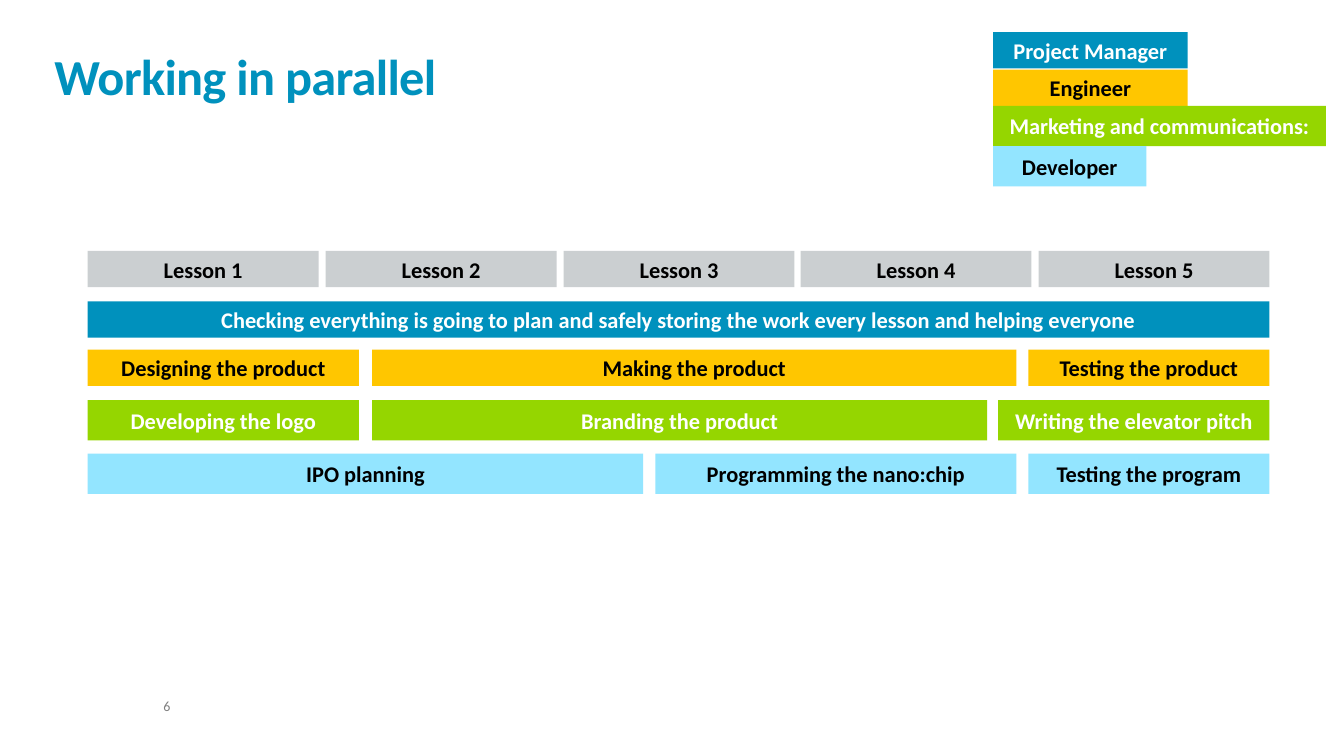
import pptx
import pptx.dml.color
import pptx.enum.shapes
import pptx.enum.text
import pptx.util

PX = 9144
BLUE, AMBER, GREEN, SKY, GREY = "0091BD", "FFC600", "95D600", "93E5FF", "CBCFD1"
WHITE, BLACK = "FFFFFF", "000000"
LEFT, RIGHT = 87, 1259
LESSONS, LESSON_WIDTH = 5, 229

ROLES = [
    ("Project Manager", BLUE, WHITE, 32, 193, 36),
    ("Engineer", AMBER, BLACK, 69, 193, 36),
    ("Marketing and communications:", GREEN, WHITE, 105, 330, 40),
    ("Developer", SKY, BLACK, 145, 152, 40),
]

SCHEDULE = [
    (299, [(LEFT, RIGHT, "Checking everything is going to plan and safely storing "
                         "the work every lesson and helping everyone")]),
    (347, [(LEFT, 356, "Designing the product"),
           (369, 1008, "Making the product"),
           (1020, RIGHT, "Testing the product")]),
    (397, [(LEFT, 356, "Developing the logo"),
           (369, 979, "Branding the product"),
           (990, RIGHT, "Writing the elevator pitch")]),
    (450, [(LEFT, 638, "IPO planning"),
           (650, 1008, "Programming the nano:chip"),
           (1020, RIGHT, "Testing the program")]),
]


def colour(value):
    return pptx.dml.color.RGBColor.from_string(value)


class Slide:
    """Hold the type style and the current page, and draw its elements."""

    def __init__(self, page, typeface="Calibri"):
        self.page = page
        self.typeface = typeface

    def add_span(self, para, text, size, ink, bold):
        span = para.add_run()
        span.text = text
        span.font.name = self.typeface
        span.font.size = pptx.util.Pt(size)
        span.font.bold = bold
        span.font.color.rgb = colour(ink)
        return span

    def add_text(self, left, top, width, height, text, size, ink, bold=False,
                 anchor="TOP", leading=0.9, tracking=0):
        box = self.page.shapes.add_textbox(left * PX, top * PX, width * PX, height * PX)
        frame = box.text_frame
        frame.word_wrap = True
        frame.margin_left = frame.margin_right = 0
        frame.margin_top = frame.margin_bottom = 0
        frame.vertical_anchor = pptx.enum.text.MSO_ANCHOR[anchor]
        para = frame.paragraphs[0]
        para.line_spacing = leading
        span = self.add_span(para, text, size, ink, bold)
        if tracking:
            span.font._element.set("spc", str(round(tracking * 100)))

    def add_bar(self, left, top, width, height, text, fill, ink):
        shape = self.page.shapes.add_shape(
            pptx.enum.shapes.MSO_SHAPE.RECTANGLE,
            left * PX, top * PX, width * PX, height * PX)
        shape.shadow.inherit = False
        shape.fill.solid()
        shape.fill.fore_color.rgb = colour(fill)
        shape.line.fill.background()
        frame = shape.text_frame
        frame.word_wrap = True
        frame.vertical_anchor = pptx.enum.text.MSO_ANCHOR.MIDDLE
        para = frame.paragraphs[0]
        para.alignment = pptx.enum.text.PP_ALIGN.CENTER
        self.add_span(para, text, 16, ink, True)


def main():
    deck = pptx.Presentation()
    deck.slide_width = pptx.util.Inches(13.33)
    deck.slide_height = pptx.util.Inches(7.5)
    slide = Slide(deck.slides.add_slide(deck.slide_layouts[6]))

    slide.add_text(162, 694, 119, 15, "6", 10, "7F7F7F")
    slide.add_text(54, 32, 900, 73, "Working in parallel", 36, BLUE, bold=True,
                   anchor="BOTTOM", leading=0.85, tracking=-0.5)

    for role, fill, ink, top, width, height in ROLES:
        slide.add_bar(985, top, width, height, role, fill, ink)

    pitch = (RIGHT - LEFT - LESSON_WIDTH) / (LESSONS - 1)
    for index in range(LESSONS):
        slide.add_bar(LEFT + round(index * pitch), 249, LESSON_WIDTH, 36,
                      f"Lesson {index + 1}", GREY, BLACK)

    for (_, fill, ink, _, _, height), (top, tasks) in zip(ROLES, SCHEDULE):
        for start, end, task in tasks:
            slide.add_bar(start, top, end - start, height, task, fill, ink)

    deck.save("out.pptx")


if __name__ == "__main__":
    main()
